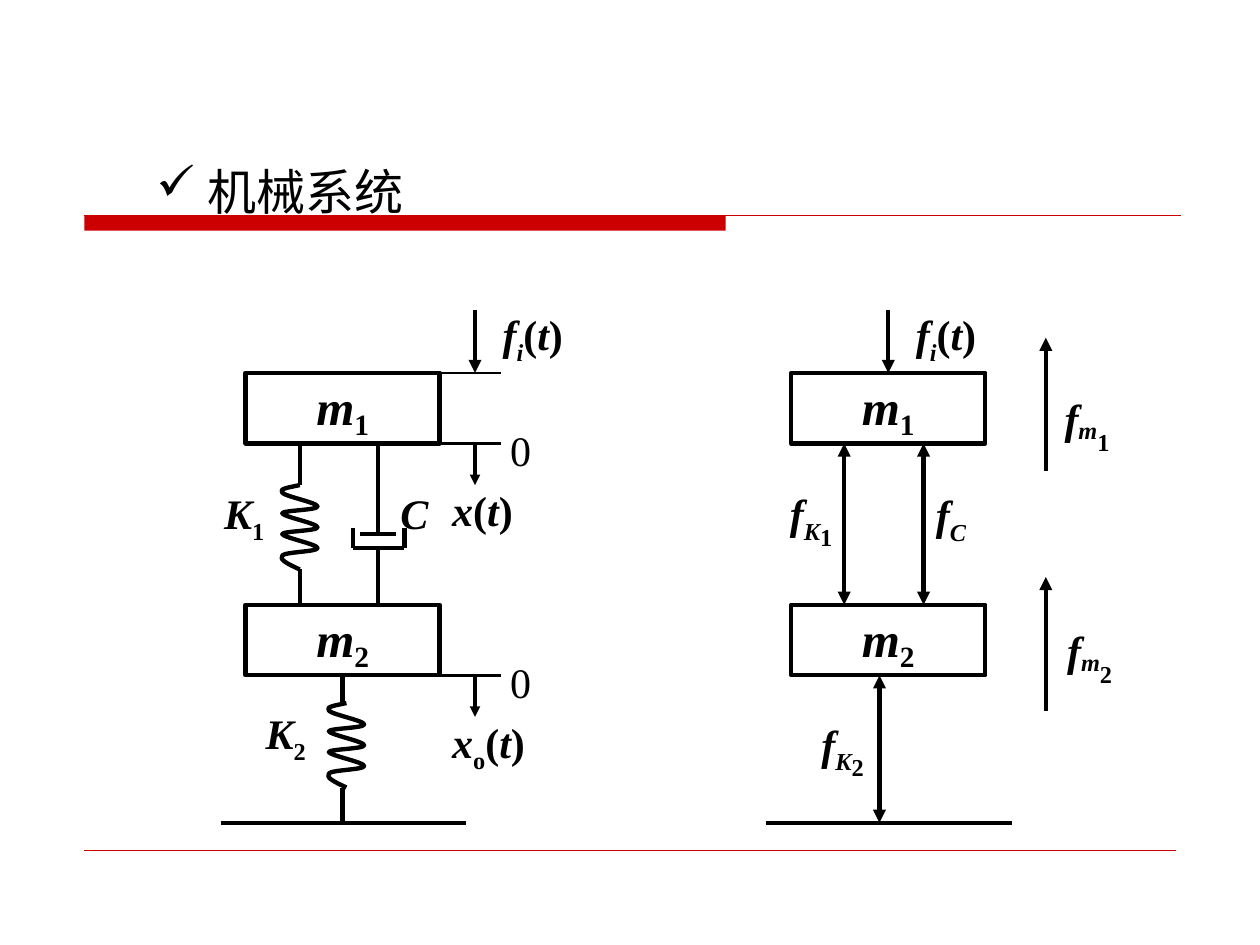
from dataclasses import dataclass
from lxml.etree import SubElement
from pptx import Presentation
from pptx.dml.color import RGBColor
from pptx.enum.shapes import MSO_CONNECTOR as Connector, MSO_SHAPE as Shape
from pptx.enum.text import MSO_ANCHOR as Anchor, MSO_AUTO_SIZE as AutoSize, PP_ALIGN as Align
from pptx.oxml.ns import qn
from pptx.util import Inches, Pt


@dataclass(frozen=True)
class Theme:
    ink: RGBColor = RGBColor(0, 0, 0)
    accent: RGBColor = RGBColor(0xCC, 0, 0)
    latin: str = "Times New Roman"
    chinese: str = "Noto Sans CJK SC"
    heading: int = 28
    mass: int = 28
    mass_index: int = 29
    label: int = 24


theme = Theme()
ITALIC_SYMBOLS = "fimtxCK"


def add_line(x1, y1, x2, y2, width=2.5, color=theme.ink, arrows=()):
    line = slide.shapes.add_connector(
        Connector.STRAIGHT, Inches(x1), Inches(y1), Inches(x2), Inches(y2))
    line.line.color.rgb = color
    line.line.width = Pt(width)
    outline = line.line._get_or_add_ln()
    for end in arrows:
        SubElement(outline, qn(f"a:{end}"), type="triangle")
    SubElement(line._element.spPr, qn("a:effectLst"))
    return line


def write_symbols(paragraph, symbols, sizes):
    for position, (symbol, baseline) in enumerate(symbols):
        run = paragraph.add_run()
        run.text = symbol
        run.font.name = theme.latin
        run.font.size = Pt(sizes[min(position, len(sizes) - 1)])
        run.font.color.rgb = theme.ink
        run.font.bold = symbol != "0"
        run.font.italic = symbol in ITALIC_SYMBOLS
        if baseline:
            run._r.get_or_add_rPr().set("baseline", str(baseline * 1000))


prs = Presentation()
prs.slide_width, prs.slide_height = Inches(10), Inches(7.5)
slide = prs.slides.add_slide(prs.slide_layouts[5])

band = slide.shapes.add_shape(
    Shape.RECTANGLE, Inches(0.67), Inches(1.71), Inches(5.09), Inches(0.12))
band.fill.solid()
band.fill.fore_color.rgb = theme.accent
band.line.fill.background()
band.shadow.inherit = False
add_line(0.67, 1.71, 9.37, 1.71, 0.75, theme.accent)
add_line(0.67, 6.75, 9.33, 6.75, 0.25, theme.accent)

heading = slide.shapes.title
heading.left, heading.top = Inches(1.14), Inches(1.23)
heading.width, heading.height = Inches(3.33), Inches(0.57)
heading.text_frame.text = "机械系统"
heading.text_frame.vertical_anchor = Anchor.TOP
heading.text_frame.auto_size = AutoSize.NONE
heading_line = heading.text_frame.paragraphs[0]
heading_line.alignment = Align.LEFT
heading_format = heading_line._p.get_or_add_pPr()
heading_format.set("marL", str(Inches(0.41)))
heading_format.set("indent", str(-Inches(0.41)))
SubElement(heading_format, qn("a:buChar"), char="✓")
heading_font = heading_line.runs[0].font
heading_font.name = theme.chinese
heading_font.size = Pt(theme.heading)
heading_font.color.rgb = theme.ink
SubElement(heading_font._element, qn("a:ea"), typeface=theme.chinese)

masses = {}
for model, left in (("system", 1.95), ("forces", 6.28)):
    for index, top in (("1", 2.96), ("2", 4.8)):
        mass = slide.shapes.add_shape(
            Shape.RECTANGLE, Inches(left), Inches(top), Inches(1.54), Inches(0.56))
        mass.fill.background()
        mass.line.color.rgb = theme.ink
        mass.line.width = Pt(2.5)
        mass.shadow.inherit = False
        mass.text_frame.word_wrap = False
        mass.text_frame.vertical_anchor = Anchor.MIDDLE
        mass_name = mass.text_frame.paragraphs[0]
        mass_name.alignment = Align.CENTER
        write_symbols(mass_name, [("m", 0), (index, -20)], (theme.mass, theme.mass_index))
        masses[model, index] = mass
    add_line(left - 0.2, 6.53, left + 1.75, 6.53)

coil = [(0.08, 0.02), (0, 0.03), (0.03, 0.06)]
for turn in range(3):
    y = 0.06 + 0.165 * turn
    coil += [(0.05, y + 0.03), (0.31, y + 0.08), (0.31, y + 0.11),
             (0.31, y + 0.14), (0.03, y + 0.14), (0.03, y + 0.165)]
coil[-3:] = [(0.31, 0.53), (0.05, 0.53), (0.03, 0.56)]
coil += [(0, 0.59), (0.08, 0.63), (0.17, 0.67)]
for left, top in ((2.21, 3.85), (2.58, 5.58)):
    builder = slide.shapes.build_freeform(Inches(left + 0.17), Inches(top))
    builder.add_line_segments(
        [(Inches(left + x), Inches(top + y)) for x, y in coil], close=False)
    spring = builder.convert_to_shape()
    spring.fill.background()
    spring.line.color.rgb = theme.ink
    spring.line.width = Pt(2.5)
    spring.shadow.inherit = False
    outline = spring._element.find(".//" + qn("a:path"))
    segments = outline.findall(qn("a:lnTo"))
    for start in range(0, len(segments), 3):
        curve = SubElement(outline, qn("a:cubicBezTo"))
        for segment in segments[start:start + 3]:
            curve.append(segment[0])
            outline.remove(segment)

for x1, y1, x2, y2 in (
    (2.38, 3.52, 2.38, 3.85), (2.38, 4.52, 2.38, 4.8),
    (3, 3.52, 3, 4.24), (2.86, 4.24, 3.14, 4.24),
    (2.8, 4.19, 2.8, 4.35), (2.8, 4.35, 3.21, 4.35),
    (3.21, 4.19, 3.21, 4.35), (3, 4.35, 3, 4.8),
    (2.72, 6.25, 2.72, 6.53),
):
    add_line(x1, y1, x2, y2)
lower_spring_rod = add_line(2.72, 5.36, 2.72, 5.58)
lower_spring_rod.begin_connect(masses["system", "2"], 2)

for y in (2.96, 3.52, 5.36):
    add_line(3.49, y, 3.98, y, 1.5)
for y in (3.52, 5.36):
    add_line(3.77, y, 3.77, y + 0.33, 2, arrows=["tailEnd"])
add_line(3.77, 2.46, 3.77, 2.96, arrows=["tailEnd"])
input_force = add_line(7.05, 2.46, 7.05, 2.96, arrows=["tailEnd"])
input_force.end_connect(masses["forces", "1"], 0)
for x, bottom, top in ((6.7, 4.8, 3.52), (7.33, 4.8, 3.52), (6.98, 6.53, 5.36)):
    add_line(x, bottom, x, top, arrows=["headEnd", "tailEnd"])
for bottom in (3.74, 5.64):
    add_line(8.3, bottom, 8.3, bottom - 1.06, arrows=["tailEnd"])

of_time = [("(", 0), ("t", 0), (")", 0)]
for left, top, width, wrap, symbols in (
    (3.89, 2.4, 1.02, True, [("f", 0), ("i", -25)] + of_time),
    (7.17, 2.4, 0.91, True, [("f", 0), ("i", -25)] + of_time),
    (1.68, 3.82, 0.53, False, [("K", 0), ("1", -25)]),
    (2.01, 5.57, 0.53, False, [("K", 0), ("2", -25)]),
    (3.08, 3.82, 0.42, False, [("C", 0)]),
    (3.49, 3.8, 0.68, False, [("x", 0)] + of_time),
    (3.49, 5.64, 0.79, False, [("x", 0), ("o", -25)] + of_time),
    (3.95, 3.32, 0.37, False, [("0", 0)]),
    (3.95, 5.16, 0.37, False, [("0", 0)]),
    (6.17, 3.82, 0.72, True, [("f", 0), ("K", -25), ("1", -40)]),
    (6.42, 5.65, 0.72, True, [("f", 0), ("K", -25), ("2", -40)]),
    (8.35, 3.07, 0.72, True, [("f", 0), ("m", -10), ("1", -40)]),
    (8.37, 4.91, 0.72, True, [("f", 0), ("m", -10), ("2", -40)]),
    (7.33, 3.83, 0.46, False, [("f", 0), ("C", -25)]),
):
    label = slide.shapes.add_textbox(Inches(left), Inches(top), Inches(width), Inches(0.5))
    label.text_frame.word_wrap = wrap
    label.text_frame.auto_size = AutoSize.SHAPE_TO_FIT_TEXT
    write_symbols(label.text_frame.paragraphs[0], symbols, (theme.label,))

prs.save("out.pptx")
